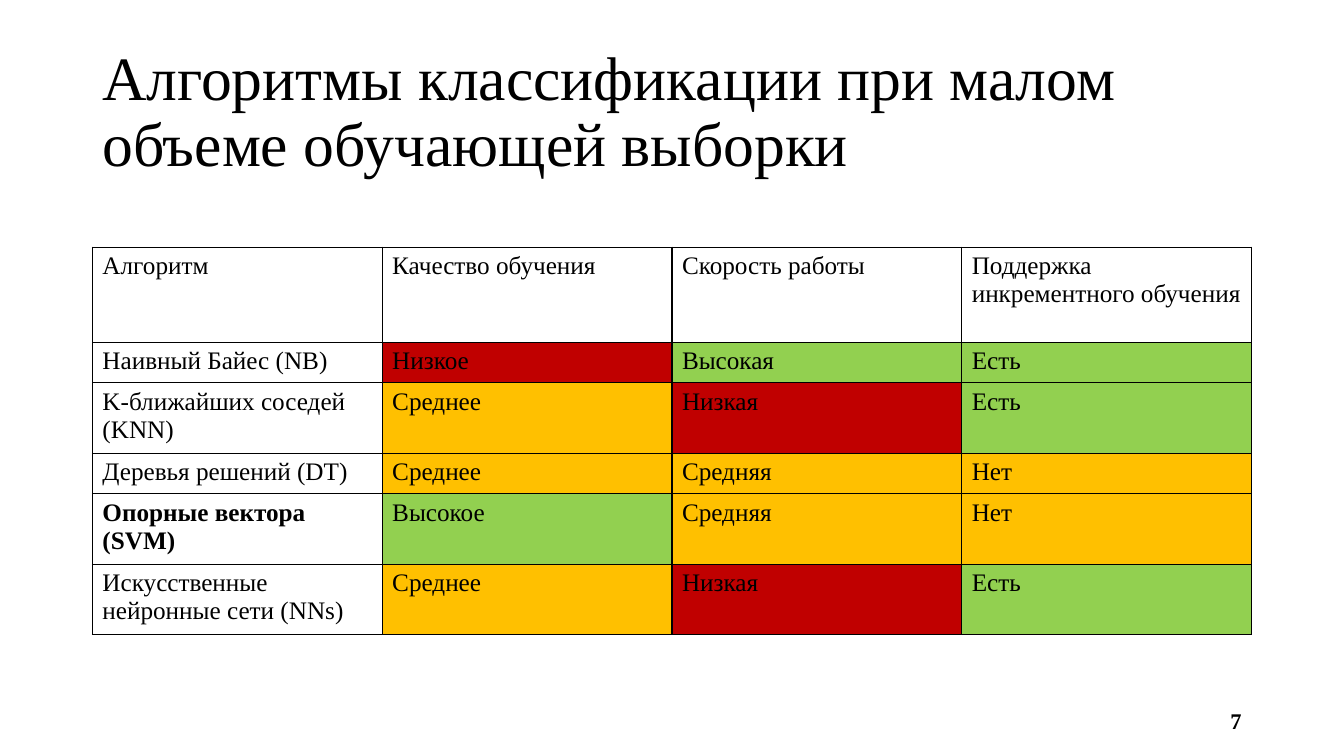
from lxml import etree
from pptx import Presentation
from pptx.dml.color import RGBColor
from pptx.enum import text
from pptx.oxml import ns
from pptx.util import Pt

FONT = "Times New Roman"
BLACK = RGBColor(0x00, 0x00, 0x00)
WHITE = RGBColor(0xFF, 0xFF, 0xFF)
RED = RGBColor(0xC0, 0x00, 0x00)
AMBER = RGBColor(0xFF, 0xC0, 0x00)
GREEN = RGBColor(0x92, 0xD0, 0x50)

RATING_COLORS = {
    "Низкое": RED, "Низкая": RED,
    "Среднее": AMBER, "Средняя": AMBER, "Нет": AMBER,
    "Высокое": GREEN, "Высокая": GREEN, "Есть": GREEN,
}
ALGORITHMS = [
    ("Алгоритм", "Качество обучения", "Скорость работы", "Поддержка инкрементного обучения"),
    ("Наивный Байес (NB)", "Низкое", "Высокая", "Есть"),
    ("K-ближайших соседей (KNN)", "Среднее", "Низкая", "Есть"),
    ("Деревья решений (DT)", "Среднее", "Средняя", "Нет"),
    ("Опорные вектора (SVM)", "Высокое", "Средняя", "Нет"),
    ("Искусственные нейронные сети (NNs)", "Среднее", "Низкая", "Есть"),
]
ROW_HEIGHTS = [68, 27.5, 47.5, 27.5, 47.5, 47.5]
# Widths of the horizontal rules, from the top edge to the bottom edge
RULE_WIDTHS = [1, 1, 1, 1, 0.5, 0.5, 1]
BEST_ALGORITHM = "Опорные вектора (SVM)"


def add_run(paragraph, words, size, bold=False):
    run = paragraph.add_run()
    run.text = words
    run.font.name = FONT
    run.font.size = Pt(size)
    run.font.bold = bold
    run.font.color.rgb = BLACK


def add_label(slide, box, words, size, bold=False, align=text.PP_ALIGN.LEFT, spacing=1.0):
    frame = slide.shapes.add_textbox(*map(Pt, box)).text_frame
    frame.word_wrap = True
    frame.vertical_anchor = text.MSO_ANCHOR.MIDDLE
    paragraph = frame.paragraphs[0]
    paragraph.alignment = align
    paragraph.line_spacing = spacing
    add_run(paragraph, words, size, bold)


def set_borders(cell, top, bottom):
    properties = cell._tc.get_or_add_tcPr()
    for side, width in (("L", 1), ("R", 1), ("T", top), ("B", bottom)):
        line = etree.SubElement(properties, ns.qn(f"a:ln{side}"), w=str(Pt(width)))
        fill = etree.SubElement(line, ns.qn("a:solidFill"))
        etree.SubElement(fill, ns.qn("a:srgbClr"), val=str(BLACK))


def add_comparison(slide, box):
    left, top, width, height = map(Pt, box)
    columns = len(ALGORITHMS[0])
    comparison = slide.shapes.add_table(
        len(ALGORITHMS), columns, left, top, width, height).table
    comparison.first_row = False
    comparison.horz_banding = False
    for column in comparison.columns:
        column.width = Pt(box[2] / columns)
    for r, entries in enumerate(ALGORITHMS):
        comparison.rows[r].height = Pt(ROW_HEIGHTS[r])
        for c, entry in enumerate(entries):
            cell = comparison.cell(r, c)
            set_borders(cell, RULE_WIDTHS[r], RULE_WIDTHS[r + 1])
            cell.fill.solid()
            cell.fill.fore_color.rgb = RATING_COLORS.get(entry, WHITE)
            add_run(cell.text_frame.paragraphs[0], entry, 18, entry == BEST_ALGORITHM)


def main():
    deck = Presentation()
    deck.slide_width, deck.slide_height = Pt(960), Pt(540)
    slide = deck.slides.add_slide(deck.slide_layouts[6])

    # Title
    add_label(slide, (66, 28.75, 828, 104.4),
              "Алгоритмы классификации при малом объеме обучающей выборки", 44, spacing=0.9)
    # Comparison of algorithms
    add_comparison(slide, (66, 176.5, 828, sum(ROW_HEIGHTS)))
    # Slide number
    add_label(slide, (678, 500.5, 216, 28.75), "7", 16, True, text.PP_ALIGN.RIGHT)

    deck.save("out.pptx")


if __name__ == "__main__":
    main()
